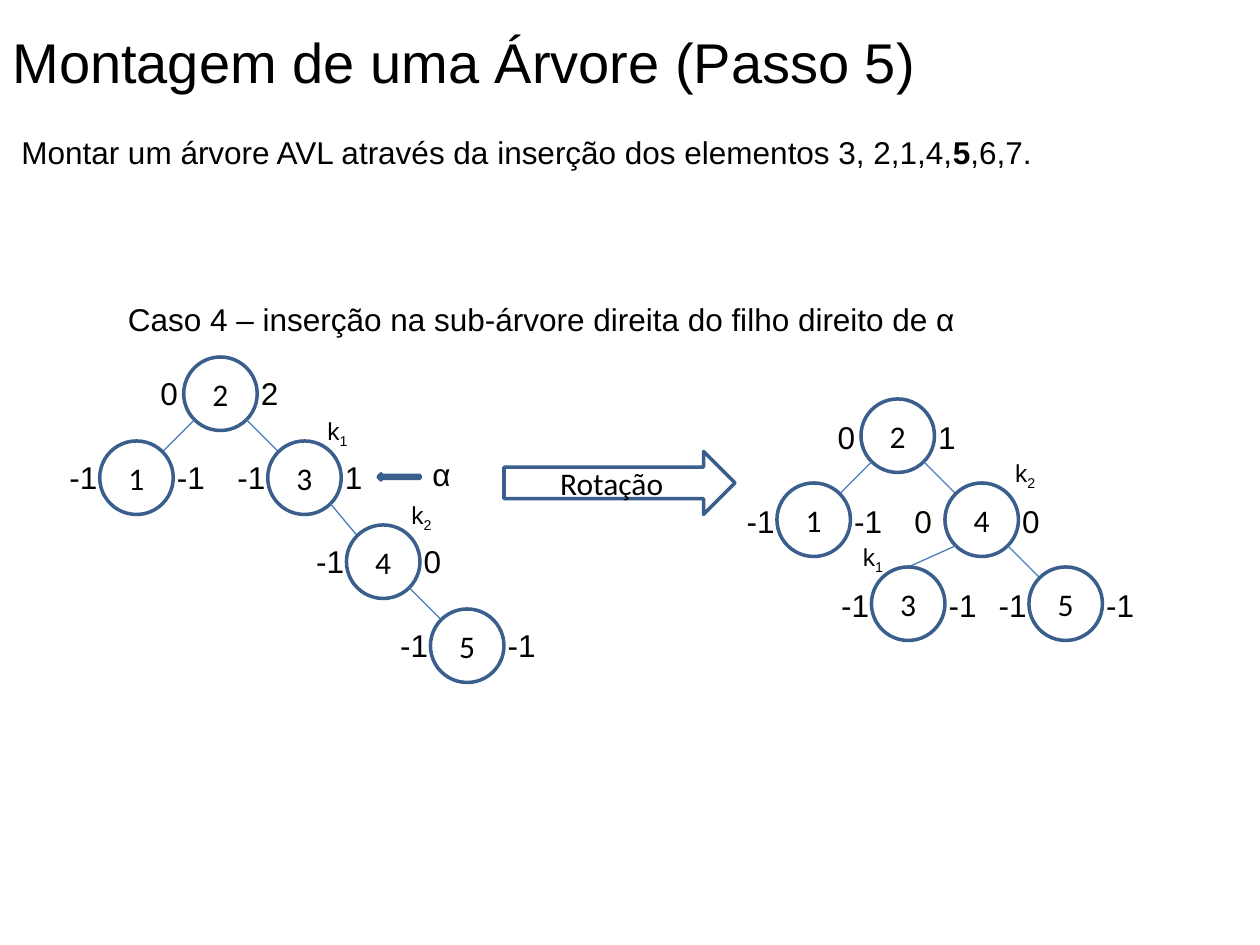
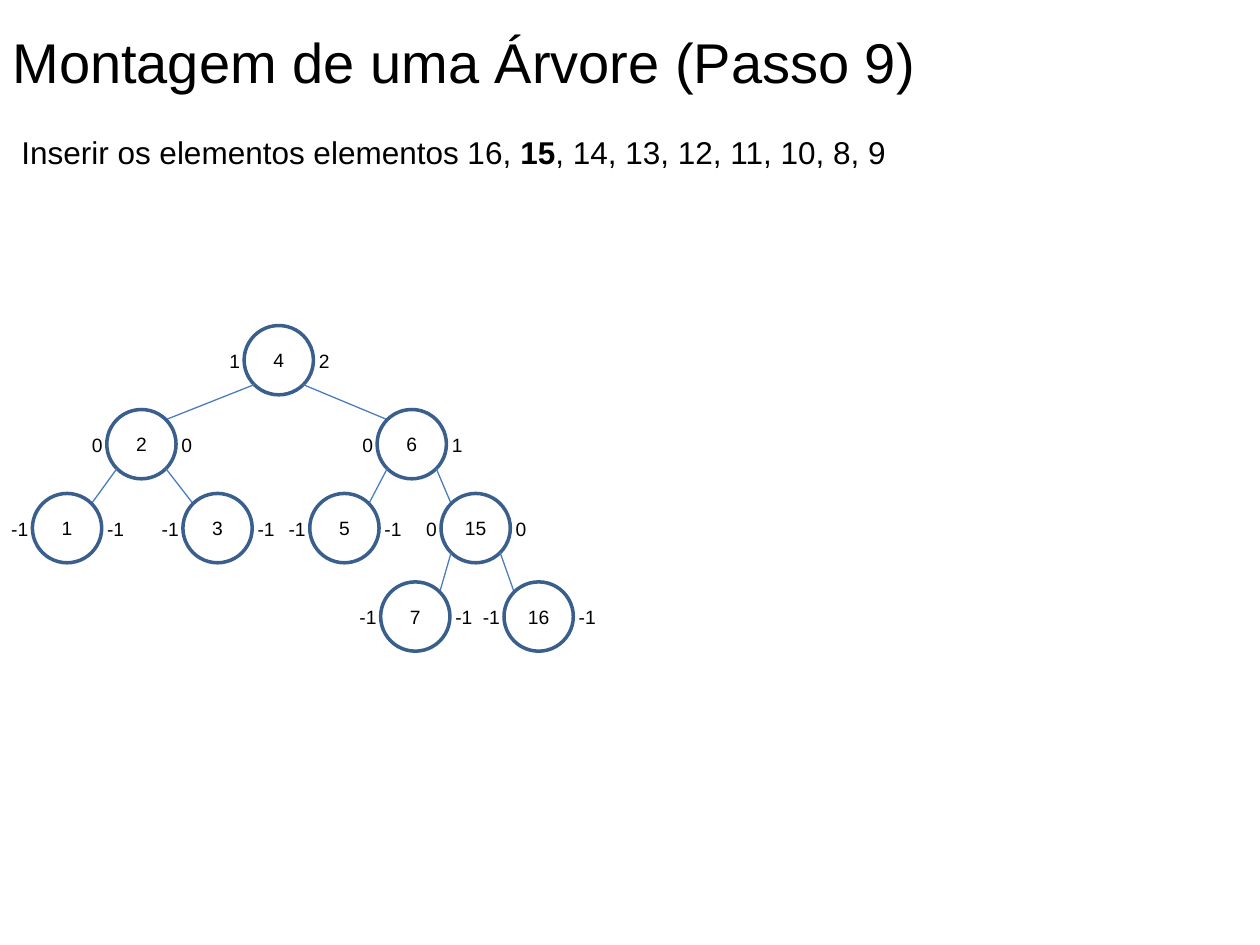
from lxml import etree
from pptx import Presentation, util as u
from pptx.dml.color import RGBColor
from pptx.enum import shapes, text
from pptx.oxml import ns

Pt = u.Pt
BLACK = RGBColor(0x00, 0x00, 0x00)
RING = RGBColor(0x3A, 0x5F, 0x8C)
EDGE = RGBColor(0x4B, 0x7E, 0xBC)
BLUE = RGBColor(0x4F, 0x81, 0xBD)
SANS, BODY = "Arial", "Calibri"
DIAG = 0.5 ** 0.5
INSET = 7.2

# Each node: key, left, top, left height, right height, parent key
BEFORE = [
    (2, 105, 204, "0", "2", None),
    (1, 57, 252, "-1", "-1", 2),
    (3, 153, 252, "-1", "1", 2),
    (4, 198, 300, "-1", "0", 3),
    (5, 246, 348, "-1", "-1", 4),
]
AFTER = [
    (2, 492, 228, "0", "1", None),
    (1, 444, 276, "-1", "-1", 2),
    (4, 540, 276, "0", "0", 2),
    (3, 498, 324, "-1", "-1", 4),
    (5, 588, 324, "-1", "-1", 4),
]
STEP9 = [
    (4, 139.5, 186, "1", "2", None),
    (2, 61, 234, "0", "0", 4),
    (6, 215.5, 234, "0", "1", 4),
    (1, 18.5, 282, "-1", "-1", 2),
    (3, 104.5, 282, "-1", "-1", 2),
    (5, 177, 282, "-1", "-1", 6),
    (15, 252, 282, "0", "0", 6),
    (7, 217.5, 332.5, "-1", "-1", 15),
    (16, 288, 332.5, "-1", "-1", 15),
]


def add_text(slide, box, parts, size, wrap=False, indent=0):
    """Write parts, each a string or a (string, style) pair, in one line."""
    shape = slide.shapes.add_textbox(*map(Pt, box))
    frame = shape.text_frame
    frame.word_wrap = wrap
    frame.auto_size = text.MSO_AUTO_SIZE.SHAPE_TO_FIT_TEXT
    frame.margin_left = Pt(INSET + indent)
    line = frame.paragraphs[0]
    line.font.name, line.font.size = SANS, Pt(size)
    line.font.color.rgb = BLACK
    for part in parts:
        words, style = (part, None) if isinstance(part, str) else part
        run = line.add_run()
        run.text = words
        if style == "bold":
            run.font.bold = True
        elif style == "sub":
            run._r.get_or_add_rPr().set("baseline", "-25000")


def add_form(slide, kind, box, words="", font=BODY, size=18, fill=None):
    """Add an outlined preset shape with centred text."""
    form = slide.shapes.add_shape(kind, *map(Pt, box))
    form.shadow.inherit = False
    if fill is None:
        form.fill.background()
    else:
        form.fill.solid()
        form.fill.fore_color.rgb = fill
    form.line.color.rgb, form.line.width = RING, Pt(2)
    if words:
        frame = form.text_frame
        frame.margin_left = frame.margin_right = 0
        frame.vertical_anchor = text.MSO_ANCHOR.MIDDLE
        line = frame.paragraphs[0]
        line.text = words
        line.alignment = text.PP_ALIGN.CENTER
        line.font.name, line.font.size = font, Pt(size)
        line.font.color.rgb = BLACK


def add_edge(slide, start, end):
    edge = slide.shapes.add_connector(
        shapes.MSO_CONNECTOR.STRAIGHT, *map(Pt, start + end))
    edge.line.color.rgb, edge.line.width = EDGE, Pt(0.75)
    etree.SubElement(edge._element.spPr, ns.qn("a:effectLst"))


def add_label(slide, words, x, y, size, flush=False):
    """Put a height label with its left edge, or right if flush, at x."""
    ems = sum(0.33 if char == "-" else 0.56 for char in words)
    width = 2 * INSET + ems * size
    left = x - width if flush else x
    add_text(slide, (left, y, width, size * 1.2 + INSET), [words], size)


def add_tree(slide, nodes, side, font, size, drop, lap, shift=(), tops=()):
    """Draw a tree; shift moves left labels, tops are joined at their top."""
    half = side / 2
    reach = half * DIAG
    mids = {key: (x + half, y + half) for key, x, y, *_ in nodes}
    moves = dict(shift)
    for key, x, y, low, high, parent in nodes:
        if parent is not None:
            (px, py), (cx, cy) = mids[parent], mids[key]
            way = reach if cx > px else -reach
            end = (cx, y) if key in tops else (cx - way, cy - reach)
            add_edge(slide, (px + way, py + reach), end)
        add_form(slide, shapes.MSO_SHAPE.OVAL, (x, y, side, side),
                 str(key), font, size)
        add_label(slide, low, x + lap + moves.get(key, 0), y + drop,
                  size, flush=True)
        add_label(slide, high, x + side - lap + 1, y + drop, size)


def add_mark(slide, digit, x, y):
    add_text(slide, (x, y, 26.6, 24.5), ["k", (digit, "sub")], 14)


def add_page(deck, step, task):
    slide = deck.slides.add_slide(deck.slide_layouts[6])
    title = f"Montagem de uma Árvore (Passo {step})"
    add_text(slide, (0, 12, 543.6, 46), [title], 32)
    add_text(slide, (0, 72.7, 708, 29), task, 18, wrap=True, indent=5)
    return slide


def add_turn(deck):
    """Show the tree before and after the rotation."""
    slide = add_page(deck, 5, [
        "Montar um árvore AVL através da inserção dos elementos 3, 2,1,4,",
        ("5", "bold"), ",6,7."])
    add_text(slide, (66, 168, 492, 29),
             ["Caso 4 – inserção na sub-árvore direita do filho direito de α"],
             18)
    add_tree(slide, BEFORE, 42, BODY, 18, 6, 6, shift={2: -2})
    add_tree(slide, AFTER, 42, BODY, 18, 7.5, 6,
             shift={2: -2, 4: -6}, tops=(3,))
    for digit, x, y in [("1", 180, 234), ("2", 228, 282),
                        ("1", 486, 306), ("2", 573, 258)]:
        add_mark(slide, digit, x, y)
    add_text(slide, (240, 256.5, 25, 29), ["α"], 18)
    add_form(slide, shapes.MSO_SHAPE.LEFT_ARROW, (216, 270.7, 24, 3.6),
             fill=BLUE)
    add_form(slide, shapes.MSO_SHAPE.RIGHT_ARROW, (288, 258, 132, 36),
             "Rotação")


def add_next(deck):
    """Show the tree after 15 is inserted."""
    slide = add_page(deck, 9, [
        "Inserir os elementos elementos 16, ", ("15", "bold"),
        ", 14, 13, 12, 11, 10, 8, 9"])
    add_tree(slide, STEP9, 39.6, SANS, 11, 10, 5)


def main():
    deck = Presentation()
    deck.slide_width, deck.slide_height = Pt(720), Pt(540)
    add_turn(deck)
    add_next(deck)
    deck.save("out.pptx")


if __name__ == "__main__":
    main()
